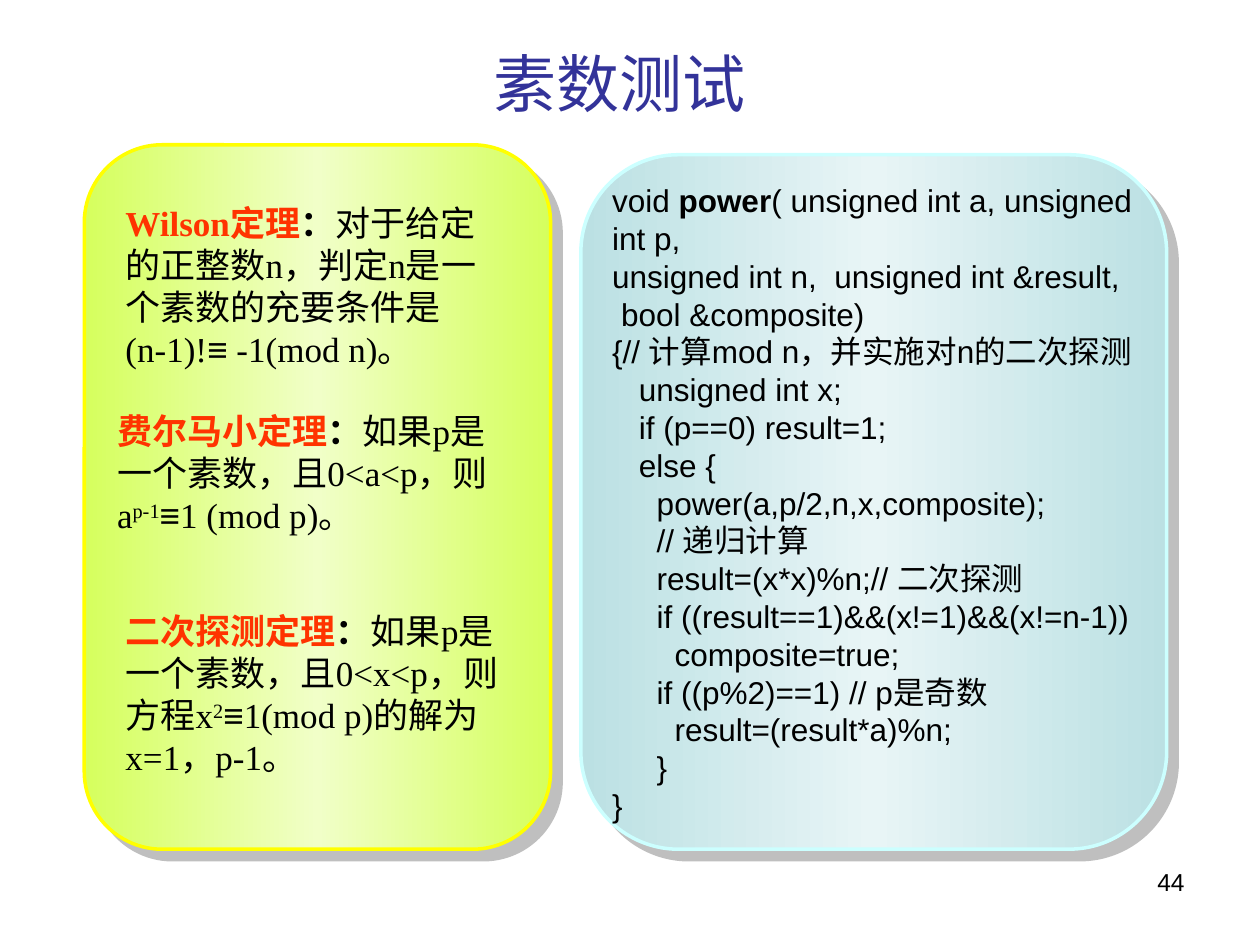
from copy import deepcopy
from dataclasses import dataclass

from lxml.etree import SubElement
from pptx import Presentation
from pptx.dml.color import RGBColor
from pptx.enum.shapes import MSO_SHAPE
from pptx.enum.text import MSO_ANCHOR, PP_ALIGN
from pptx.oxml.ns import qn
from pptx.util import Cm, Pt


@dataclass(frozen=True)
class Theme:
    """Colours, fonts and type sizes of the deck."""
    ink: str = "000000"
    title: str = "333399"
    accent: str = "FF3300"
    shadow: str = "808080"
    lime: tuple = ("D5FF5D", "F1FFC8", "FFFF00")
    aqua: tuple = ("BBE0E3", "E8F5F6", "CCFFFF")
    sans: str = "Arial"
    serif: str = "Times New Roman"
    title_size: int = 36
    theorem_size: int = 20
    code_size: int = 18
    number_size: int = 14


@dataclass(frozen=True)
class Box:
    """A rectangle in centimetres."""
    left: float
    top: float
    width: float
    height: float

    def inner(self, left, top, width, height):
        """Return a box placed relative to this one."""
        return Box(self.left + left, self.top + top, width, height)

    def lengths(self):
        """Return left, top, width and height as lengths."""
        return [Cm(n) for n in (self.left, self.top, self.width, self.height)]


THEME = Theme()

THEOREMS = [
    ((0.58, 1.02, 8.2, 3.66), "Wilson定理",
     [("对于给定的正整数n，判定n是一个素数的充要条件是(n-1)!", {}),
      ("≡", {"font": THEME.sans}), (" -1(mod n)。", {})]),
    ((0.41, 5.21, 8.61, 2.79), "费尔马小定理",
     [("如果p是一个素数，且0<a<p，则 a", {}), ("p-1", {"raised": True}),
      ("≡", {"font": THEME.sans}), ("1 (mod p)。", {})]),
    ((0.58, 9.25, 8.41, 3.66), "二次探测定理",
     [("如果p是一个素数，且0<x<p，则方程x", {}), ("2", {"raised": True}),
      ("≡", {"font": THEME.sans}), ("1(mod p)的解为x=1，p-1。", {})]),
]

CODE = [
    (0, "unsigned int n,  unsigned int &result,"),
    (1, "bool &composite)"),
    (0, "{// 计算mod n，并实施对n的二次探测"),
    (3, "unsigned int x;"),
    (3, "if (p==0) result=1;"),
    (3, "else {"),
    (5, "power(a,p/2,n,x,composite);"),
    (5, "// 递归计算"),
    (5, "result=(x*x)%n;// 二次探测"),
    (5, "if ((result==1)&&(x!=1)&&(x!=n-1))"),
    (7, "composite=true;"),
    (5, "if ((p%2)==1) // p是奇数"),
    (7, "result=(result*a)%n;"),
    (5, "}"),
    (0, "}"),
]


def add_span(para, text, size, font=THEME.sans, color=THEME.ink, bold=False, raised=False):
    """Append formatted text to a paragraph."""
    span = para.add_run()
    span.text = text
    span.font.size = Pt(size)
    span.font.name = font
    span.font.bold = bold
    span.font.color.rgb = RGBColor.from_string(color)
    if raised:
        span._r.get_or_add_rPr().set("baseline", "30000")


def add_frame(page, box, anchor=MSO_ANCHOR.TOP):
    """Add a wrapping text box and return its text frame."""
    frame = page.shapes.add_textbox(*box.lengths()).text_frame
    frame.word_wrap = True
    frame.vertical_anchor = anchor
    return frame


def add_line(page, box, text, align, anchor=MSO_ANCHOR.TOP, **style):
    """Place a single aligned line of text."""
    para = add_frame(page, box, anchor).paragraphs[0]
    para.alignment = align
    add_span(para, text, **style)


def add_panel(page, box, colors):
    """Draw a rounded panel with a mirrored gradient and a hard shadow."""
    edge, middle, outline = colors
    panel = page.shapes.add_shape(MSO_SHAPE.ROUNDED_RECTANGLE, *box.lengths())
    panel.line.color.rgb = RGBColor.from_string(outline)
    panel.line.width = Pt(2)
    panel.fill.gradient()
    panel.fill.gradient_angle = 0
    for stop, color, position in zip(panel.fill.gradient_stops, (edge, middle), (0, 0.5)):
        stop.color.rgb = RGBColor.from_string(color)
        stop.position = position
    properties = panel._element.spPr
    stops = properties.find(".//" + qn("a:gsLst"))
    last = deepcopy(stops[0])
    last.set("pos", "100000")
    stops.append(last)
    panel.shadow.inherit = False
    shadow = SubElement(properties.find(qn("a:effectLst")), qn("a:outerShdw"),
                        dist=str(Pt(8.5)), dir="2700000", algn="ctr", rotWithShape="0")
    tint = SubElement(shadow, qn("a:srgbClr"), val=THEME.shadow)
    SubElement(tint, qn("a:alpha"), val="50000")


def add_theorems(page, box):
    """Place the panel of theorems."""
    add_panel(page, box, THEME.lime)
    base = {"size": THEME.theorem_size, "font": THEME.serif}
    for place, name, statement in THEOREMS:
        para = add_frame(page, box.inner(*place)).paragraphs[0]
        add_span(para, name, color=THEME.accent, bold=True, **base)
        add_span(para, "：", bold=True, **base)
        for text, style in statement:
            add_span(para, text, **{**base, **style})


def add_code(page, box):
    """Place the panel of source code, indented by the width of a space."""
    add_panel(page, box, THEME.aqua)
    frame = add_frame(page, box.inner(0.38, 0.41, box.width, 13.2))
    size = THEME.code_size
    para = frame.paragraphs[0]
    add_span(para, "void ", size)
    add_span(para, "power", size, bold=True)
    add_span(para, "( unsigned int a, unsigned int p,", size)
    for depth, text in CODE:
        para = frame.add_paragraph()
        properties = para._p.get_or_add_pPr()
        properties.set("marL", str(Cm(0.18 * depth)))
        properties.set("indent", "0")
        add_span(para, text, size)


def main():
    """Build the deck and save it."""
    deck = Presentation()
    deck.slide_width, deck.slide_height = Cm(25.4), Cm(19.05)
    page = deck.slides.add_slide(deck.slide_layouts[6])
    add_line(page, Box(18.21, 17.35, 5.92, 1.32), "44", PP_ALIGN.RIGHT,
             size=THEME.number_size)
    add_line(page, Box(1.7, 0.53, 21.59, 2.24), "素数测试", PP_ALIGN.CENTER,
             MSO_ANCHOR.MIDDLE, size=THEME.title_size, color=THEME.title)
    add_theorems(page, Box(1.7, 2.92, 9.4, 14.2))
    add_code(page, Box(11.71, 3.12, 11.81, 14))
    deck.save("out.pptx")


if __name__ == "__main__":
    main()
